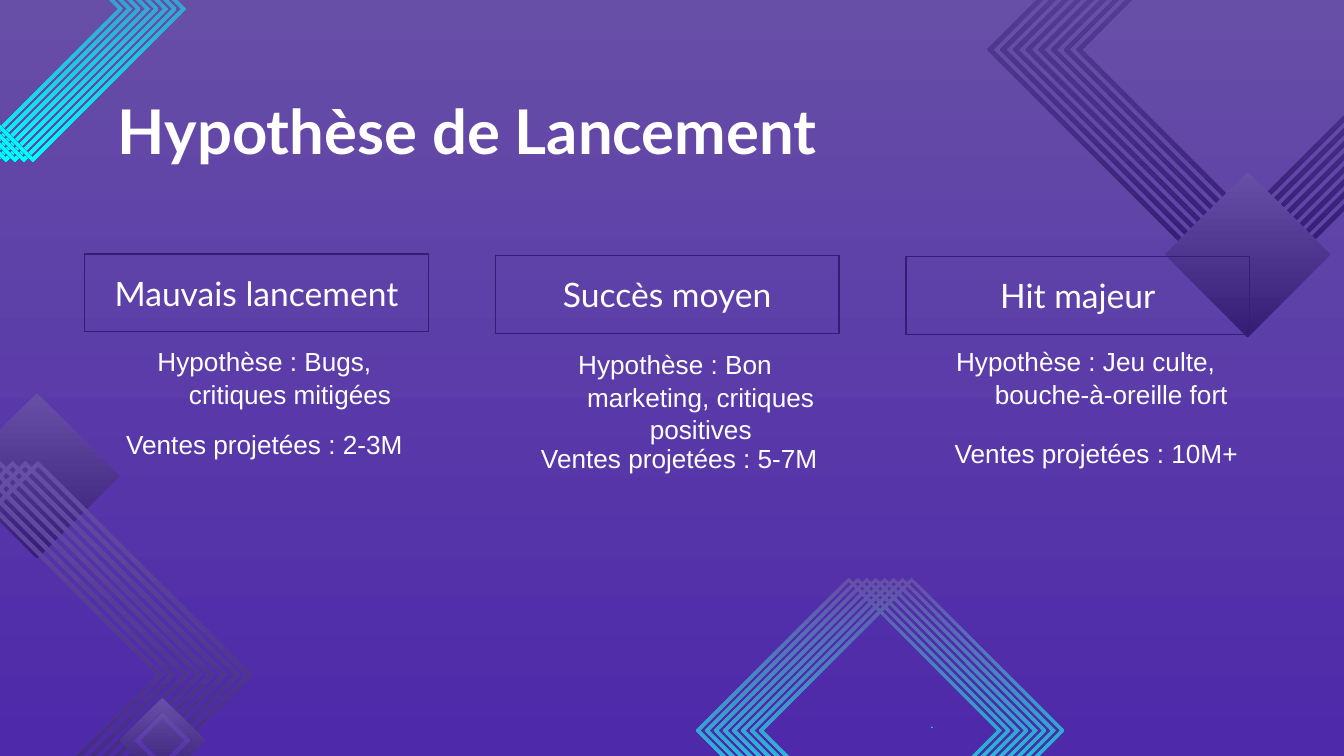
from pptx import Presentation
from pptx.dml.color import RGBColor
from pptx.enum.shapes import MSO_SHAPE
from pptx.enum.text import MSO_ANCHOR, PP_ALIGN
from pptx.util import Cm, Pt

COLORS = {
    "indigo": "4E29AA",
    "violet": "674EA7",
    "deep": "351C75",
    "cyan": "00FFFF",
    "white": "FFFFFF",
}
DARK = ("violet", "deep", 270)
BRIGHT = ("violet", "cyan", 270)
BACKDROP = ("indigo", "violet", 90)

TITLE_FONT = {"name": "Lato", "size": Pt(33), "bold": True}
HEADING_FONT = {"name": "Lato", "size": Pt(18), "bold": False}
BODY_FONT = {"name": "Arial", "size": Pt(14), "bold": False}
FRAME = {
    "word_wrap": True,
    "margin_left": Cm(0.25),
    "margin_right": Cm(0.25),
    "margin_top": Cm(0.25),
    "margin_bottom": Cm(0.25),
}
BAND_RINGS = 8

SCENARIOS = [
    {
        "heading": "Mauvais lancement",
        "hypothesis": "Hypothèse : Bugs, critiques mitigées",
        "sales": "Ventes projetées : 2-3M",
        "top": 4.8,
        "hypothesis_drop": 1.45,
        "sales_shift": (0, 3.02),
    },
    {
        "heading": "Succès moyen",
        "hypothesis": "Hypothèse : Bon marketing, critiques positives",
        "sales": "Ventes projetées : 5-7M",
        "top": 4.83,
        "hypothesis_drop": 1.47,
        "sales_shift": (0.08, 3.25),
    },
    {
        "heading": "Hit majeur",
        "hypothesis": "Hypothèse : Jeu culte, bouche-à-oreille fort",
        "sales": "Ventes projetées : 10M+",
        "top": 4.85,
        "hypothesis_drop": 1.4,
        "sales_shift": (0.2, 3.13),
    },
]


def rgb(color):
    return RGBColor.from_string(COLORS[color])


def apply(target, values):
    for name, value in values.items():
        setattr(target, name, value)


def paint(fill, gradient):
    start, end, angle = gradient
    fill.gradient()
    fill.gradient_angle = angle
    for stop, color in zip(fill.gradient_stops, (start, end)):
        stop.color.rgb = rgb(color)


def diamond(slide, box, gradient, stroke=None):
    left, top, width, height = box
    x, y = left + width / 2, top + height / 2

    def corners(inset, turn):
        rx, ry = width / 2 - inset, height / 2 - inset
        return [(Cm(x), Cm(y - ry)), (Cm(x + turn * rx), Cm(y)),
                (Cm(x), Cm(y + ry)), (Cm(x - turn * rx), Cm(y))]

    outer = corners(0, 1)
    outline = slide.shapes.build_freeform(*outer[0])
    outline.add_line_segments(outer[1:], close=True)
    if stroke:
        inner = corners(stroke, -1)
        outline.move_to(*inner[0])
        outline.add_line_segments(inner[1:], close=True)
    tile = outline.convert_to_shape()
    tile.shadow.inherit = False
    tile.line.fill.background()
    paint(tile.fill, gradient)


def ring_band(slide, box, gradient, stroke):
    left, top, width, side = box
    step = (width - side) / (BAND_RINGS - 1)
    for ring in range(BAND_RINGS):
        diamond(slide, (left + ring * step, top, side, side), gradient, stroke)


def ornaments(slide, box):
    left, top, width, height = box
    diamond(slide, (left - 0.86, top + 7.43, 3.12, 3.12), DARK)
    ring_band(slide, (left - 5.01, top + 8.71, 9.78, 8.1), DARK, 0.11)
    diamond(slide, (left + 2.31, top + 13.24, 1.52, 1.52), DARK)
    diamond(slide, (left + 2.26, top + 13.19, 1.62, 1.62), DARK, 0.1)
    diamond(slide, (left + 2.54, top + 13.47, 1.06, 1.06), BACKDROP, 0.11)
    ring_band(slide, (left + 13.15, top + 10.92, 6.97, 5.78), BRIGHT, 0.08)
    diamond(slide, (left + 17.6, top + 13.73, 0.03, 0.03), BRIGHT)
    ring_band(slide, (left - 3.46, top - 2.72, 6.97, 5.78), BRIGHT, 0.08)
    ring_band(slide, (left + width - 6.74, top - 3.11, 9.78, 8.1), DARK, 0.11)
    diamond(slide, (left + width - 3.38, top + 3.25, 3.12, 3.12), DARK)


def write(holder, words, font, align=PP_ALIGN.LEFT, anchor=MSO_ANCHOR.TOP):
    frame = holder.text_frame
    apply(frame, {**FRAME, "vertical_anchor": anchor})
    paragraph = frame.paragraphs[0]
    paragraph.alignment = align
    run = paragraph.add_run()
    run.text = words
    apply(run.font, font)
    run.font.color.rgb = rgb("white")
    return paragraph


def title(slide, box):
    holder = slide.shapes.add_textbox(*map(Cm, box))
    write(holder, "Hypothèse de Lancement", TITLE_FONT)


def detail(slide, box, words):
    holder = slide.shapes.add_textbox(*map(Cm, box))
    paragraph = write(holder, words, BODY_FONT, PP_ALIGN.CENTER)
    paragraph.line_spacing = 1.05
    properties = paragraph._p.get_or_add_pPr()
    for name, length in {"marL": 1.27, "indent": -0.97}.items():
        properties.set(name, str(Cm(length)))


def scenario_column(slide, box, scenario):
    left, top, width, height = box
    heading = slide.shapes.add_shape(
        MSO_SHAPE.RECTANGLE, Cm(left), Cm(top), Cm(width), Cm(1.47))
    heading.shadow.inherit = False
    heading.fill.background()
    heading.line.color.rgb = rgb("deep")
    heading.line.width = Pt(0.75)
    write(heading, scenario["heading"], HEADING_FONT,
          PP_ALIGN.CENTER, MSO_ANCHOR.MIDDLE)
    detail(slide, (left, top + scenario["hypothesis_drop"], width, 2.29),
           scenario["hypothesis"])
    shift, drop = scenario["sales_shift"]
    detail(slide, (left + shift, top + drop, width, height - drop),
           scenario["sales"])


def main():
    deck = Presentation()
    apply(deck, {"slide_width": Cm(25.4), "slide_height": Cm(14.29)})
    slide = deck.slides.add_slide(deck.slide_layouts[6])
    paint(slide.background.fill, BACKDROP)
    ornaments(slide, (0, 0, 25.4, 14.29))
    for column, scenario in enumerate(SCENARIOS):
        box = (1.6 + 7.76 * column, scenario["top"], 6.5, 5.4)
        scenario_column(slide, box, scenario)
    title(slide, (1.98, 1.5, 21.44, 1.57))
    deck.save("out.pptx")


if __name__ == "__main__":
    main()
